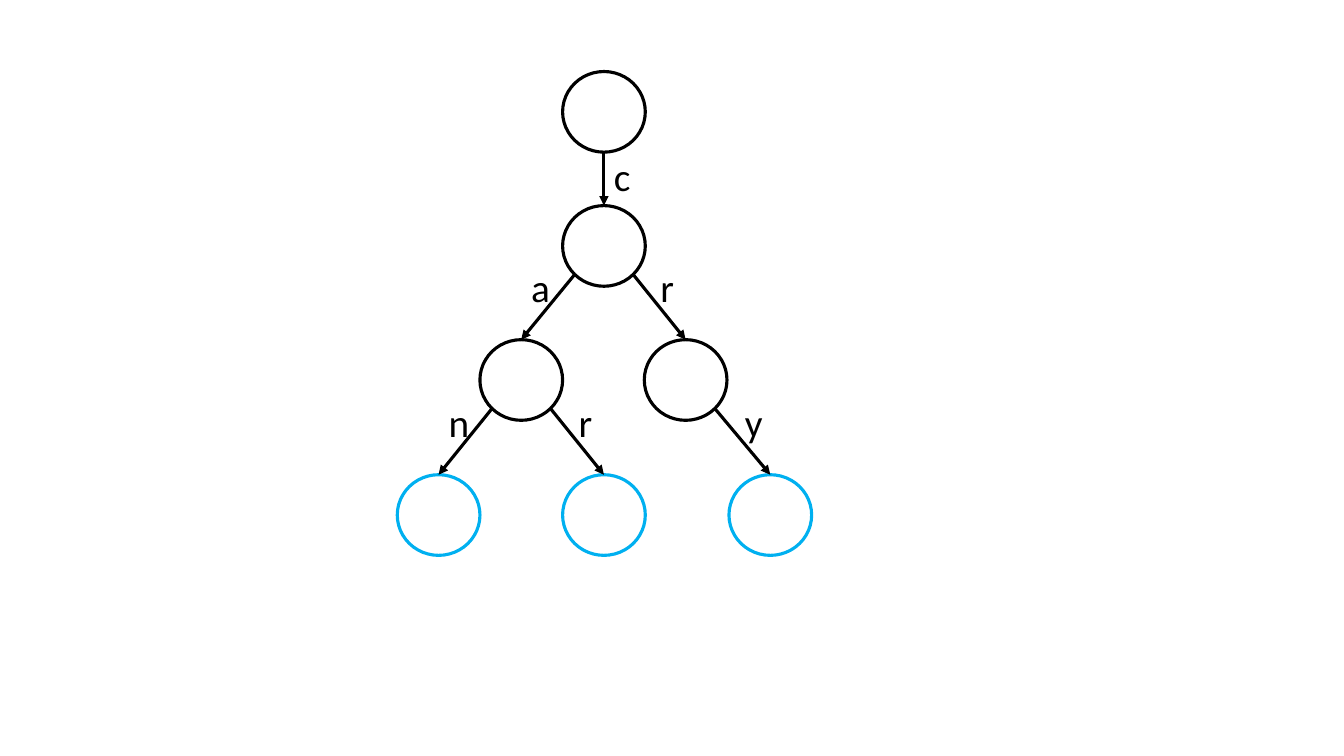
import math

import pptx
import pptx.dml.color
import pptx.enum.shapes
import pptx.enum.text
import pptx.oxml.ns
import pptx.util
from lxml import etree
from pptx.util import Inches

BLACK = pptx.dml.color.RGBColor(0x00, 0x00, 0x00)
BLUE = pptx.dml.color.RGBColor(0x00, 0xB0, 0xF0)

NODE_WIDTH, NODE_HEIGHT = 0.82, 0.8
LABEL_WIDTH, LABEL_HEIGHT = 0.35, 0.57
LABEL_RISE = 0.81
ROOT_LABEL_RISE = 0.58
LEVEL_TOPS = [0.71, 2.04, 3.37, 4.71]

# prefix: (level, centre x, line colour); the last letter labels the incoming edge
NODES = {
    "": (0, 5.99, BLACK),
    "c": (1, 5.99, BLACK),
    "ca": (2, 5.17, BLACK),
    "cr": (2, 6.8, BLACK),
    "can": (3, 4.35, BLUE),
    "car": (3, 5.99, BLUE),
    "cry": (3, 7.64, BLUE),
}

presentation = pptx.Presentation()
presentation.slide_width = Inches(13.33)
presentation.slide_height = Inches(7.5)
slide = presentation.slides.add_slide(presentation.slide_layouts[6])

circles = {}
for prefix, (level, center, color) in NODES.items():
    circle = slide.shapes.add_shape(
        pptx.enum.shapes.MSO_SHAPE.OVAL,
        Inches(center - NODE_WIDTH / 2), Inches(LEVEL_TOPS[level]),
        Inches(NODE_WIDTH), Inches(NODE_HEIGHT))
    circle.shadow.inherit = False
    circle.fill.background()
    circle.line.color.rgb = color
    circle.line.width = pptx.util.Pt(2.25)
    circles[prefix] = circle

for prefix, (level, center, color) in NODES.items():
    if not prefix:
        continue
    parent_level, parent_center, parent_color = NODES[prefix[:-1]]
    direction = (center > parent_center) - (center < parent_center)

    # Edges leave the parent straight down or at 45 degrees
    angle = math.radians(45 * direction)
    start_x = parent_center + NODE_WIDTH / 2 * math.sin(angle)
    start_y = LEVEL_TOPS[parent_level] + NODE_HEIGHT / 2 * (1 + math.cos(angle))
    edge = slide.shapes.add_connector(
        pptx.enum.shapes.MSO_CONNECTOR.STRAIGHT,
        Inches(start_x), Inches(start_y), Inches(center), Inches(LEVEL_TOPS[level]))
    edge.end_connect(circles[prefix], 0)
    edge.line.color.rgb = BLACK
    edge.line.width = pptx.util.Pt(2.25)
    line_element = edge.line._get_or_add_ln()
    etree.SubElement(line_element, pptx.oxml.ns.qn("a:tailEnd"), type="triangle")
    etree.SubElement(edge._element.spPr, pptx.oxml.ns.qn("a:effectLst"))

    label_left = center - LABEL_WIDTH if direction > 0 else center
    label_rise = LABEL_RISE if direction else ROOT_LABEL_RISE
    label = slide.shapes.add_textbox(
        Inches(label_left), Inches(LEVEL_TOPS[level] - label_rise),
        Inches(LABEL_WIDTH), Inches(LABEL_HEIGHT))
    label.text_frame.auto_size = pptx.enum.text.MSO_AUTO_SIZE.SHAPE_TO_FIT_TEXT
    paragraph = label.text_frame.paragraphs[0]
    paragraph.text = prefix[-1]
    paragraph.font.name = "Calibri"
    paragraph.font.size = pptx.util.Pt(28)
    paragraph.font.color.rgb = BLACK

presentation.save("out.pptx")
